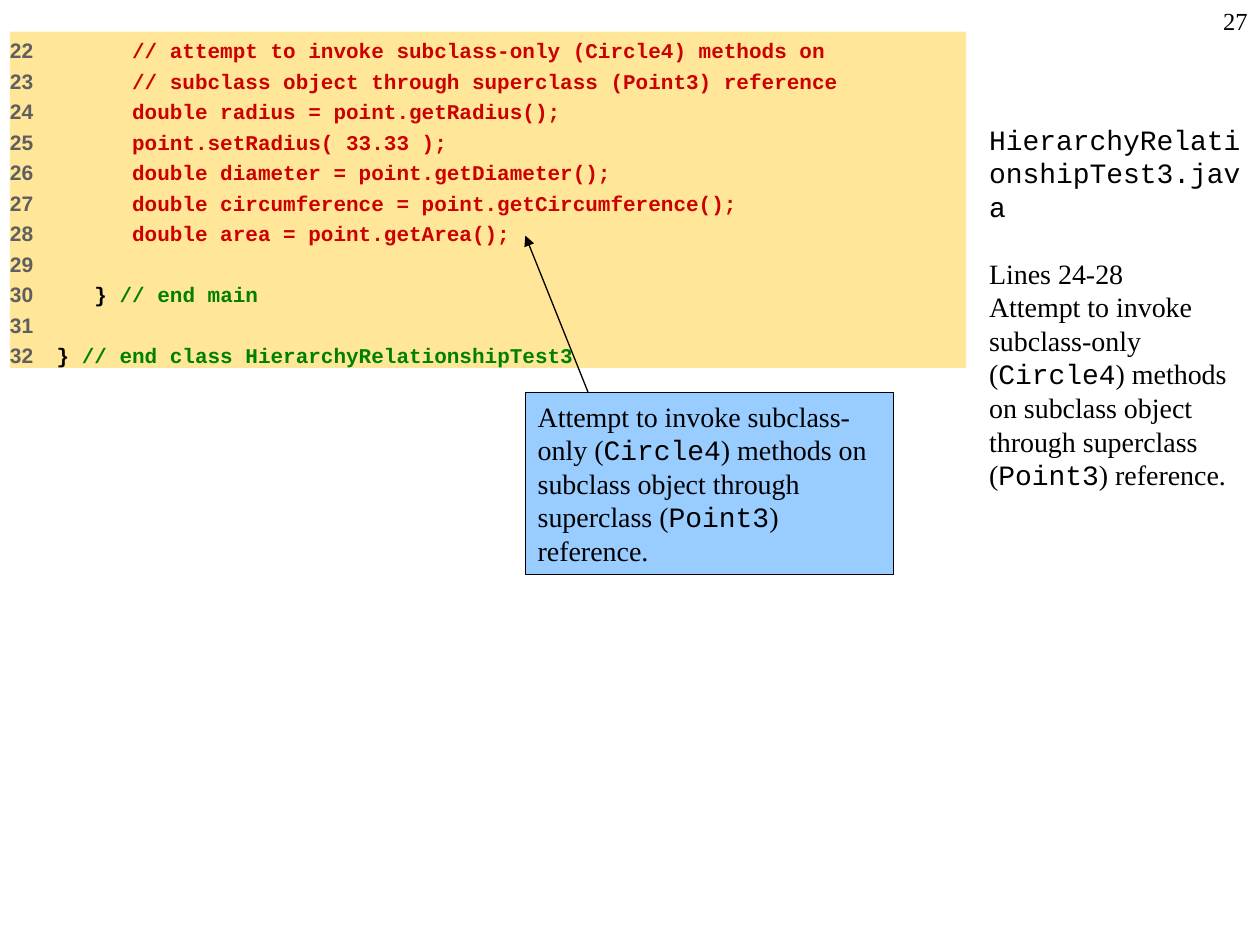
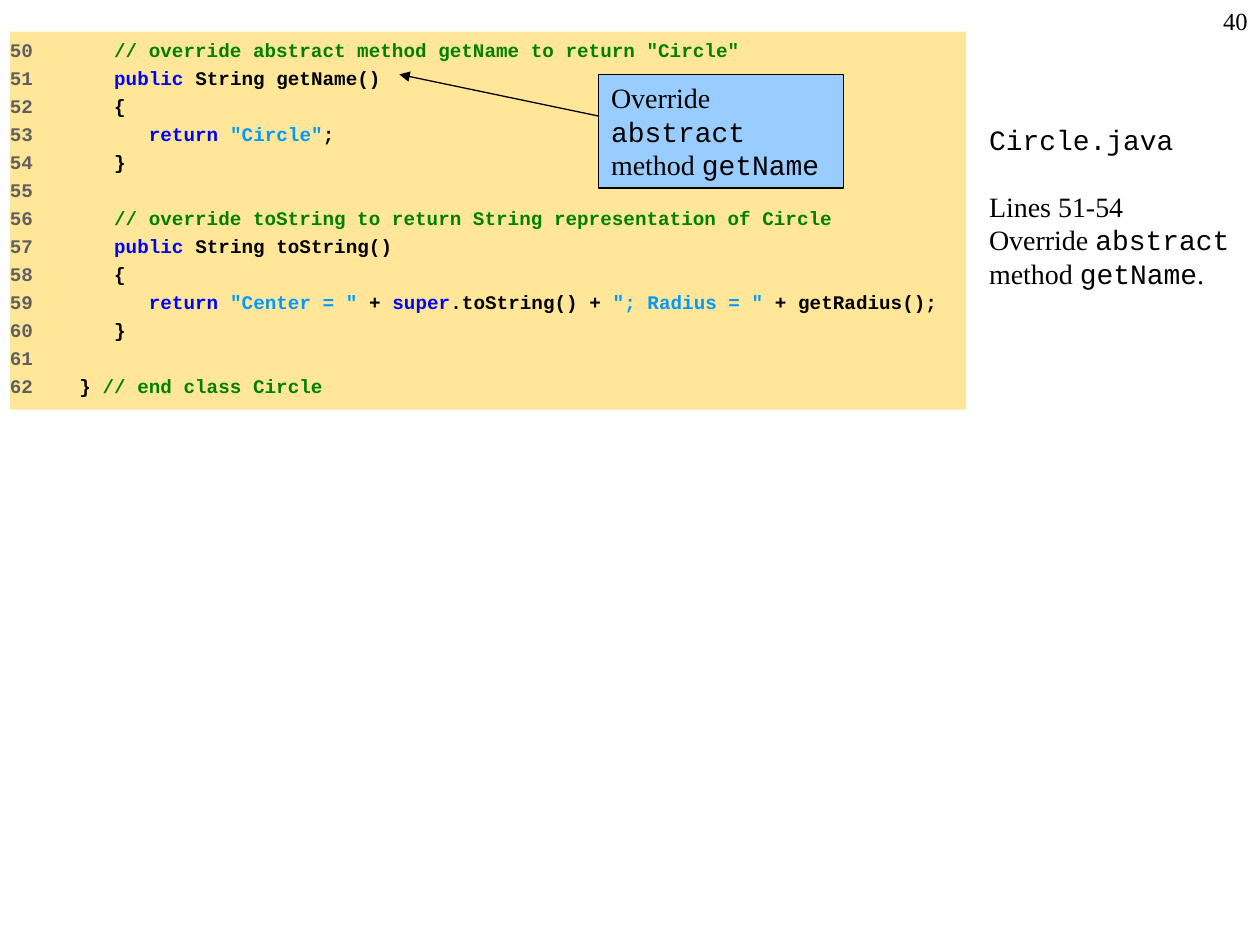
from lxml.etree import SubElement
from pptx import Presentation
from pptx.dml.color import RGBColor
from pptx.enum.shapes import MSO_CONNECTOR, MSO_SHAPE
from pptx.enum.text import MSO_ANCHOR, MSO_AUTO_SIZE, PP_ALIGN
from pptx.oxml.ns import qn
from pptx.util import Cm, Pt

BLACK = RGBColor(0x00, 0x00, 0x00)
GREY = RGBColor(0x5F, 0x5F, 0x5F)
RED = RGBColor(0xCC, 0x00, 0x00)
GREEN = RGBColor(0x00, 0x80, 0x00)
BLUE = RGBColor(0x00, 0x00, 0xFF)
SKY = RGBColor(0x00, 0x99, 0xFF)
CODE_BAND = RGBColor(0xFF, 0xE6, 0x99)
CALLOUT_FILL = RGBColor(0x99, 0xCC, 0xFF)

SERIF, MONO, SANS = "Times New Roman", "Courier New", "Arial"
NOTE_SIZE, PAGE_SIZE = 16, 14

# In notes and callouts, `backticks` mark words set in the code font.
# Code lines are lists of (text, colour); an empty list is an empty line.
LISTINGS = [
    {
        "page": "27",
        "file": "HierarchyRelationshipTest3.java",
        "notes": ["Lines 24-28",
                  "Attempt to invoke subclass-only (`Circle4`) methods on subclass "
                  "object through superclass (`Point3`) reference."],
        "first_line": 22,
        "number_font": SANS,
        "code_size": 12,
        "line_gap": 3,
        "band_height": 6.78,
        "code": [
            [("      // attempt to invoke subclass-only (Circle4) methods on", RED)],
            [("      // subclass object through superclass (Point3) reference", RED)],
            [("      double radius = point.getRadius();", RED)],
            [("      point.setRadius( 33.33 );", RED)],
            [("      double diameter = point.getDiameter();", RED)],
            [("      double circumference = point.getCircumference();", RED)],
            [("      double area = point.getArea();", RED)],
            [],
            [("   } ", BLACK), ("// end main", GREEN)],
            [],
            [("} ", BLACK), ("// end class HierarchyRelationshipTest3", GREEN)],
        ],
        "callout": "Attempt to invoke subclass-only (`Circle4`) methods on subclass "
                   "object through superclass (`Point3`) reference.",
        "callout_box": (10.59, 7.92, 7.42, 3.66),
        "arrow": (11.86, 7.92, 10.59, 4.75),
    },
    {
        "page": "40",
        "file": "Circle.java",
        "notes": ["Lines 51-54", "Override `abstract` method `getName`."],
        "first_line": 50,
        "number_font": MONO,
        "code_size": 11,
        "line_gap": 2.8,
        "band_height": 7.62,
        "code": [
            [('   // override abstract method getName to return "Circle"', GREEN)],
            [("   public", BLUE), (" String getName()", BLACK)],
            [("   {", BLACK)],
            [("      return ", BLUE), ('"Circle"', SKY), (";", BLACK)],
            [("   }", BLACK)],
            [],
            [("   // override toString to return String representation of Circle",
              GREEN)],
            [("   public", BLUE), (" String toString()", BLACK)],
            [("   {", BLACK)],
            [("      return ", BLUE), ('"Center = "', SKY), (" + ", BLACK),
             ("super", BLUE), (".toString() + ", BLACK), ('"; Radius = "', SKY),
             (" + getRadius();", BLACK)],
            [("   }", BLACK)],
            [],
            [("} ", BLACK), ("// end class Circle", GREEN)],
        ],
        "callout": "Override `abstract` method `getName`",
        "callout_box": (12.07, 1.5, 4.93, 2.29),
        "arrow": (12.07, 2.34, 8.05, 1.5),
    },
]


def add_run(paragraph, text, font, size, color=BLACK, bold=False):
    run = paragraph.add_run()
    run.text = text
    run.font.name = font
    run.font.size = Pt(size)
    run.font.color.rgb = color
    run.font.bold = bold


def add_prose(paragraph, prose):
    """Set prose in the serif font, with backticked words in the code font."""
    for index, part in enumerate(prose.split("`")):
        if part:
            add_run(paragraph, part, MONO if index % 2 else SERIF, NOTE_SIZE)


def paragraphs(frame, count):
    return [frame.paragraphs[0]] + [frame.add_paragraph() for _ in range(count - 1)]


def add_panel(slide, box, fill):
    panel = slide.shapes.add_shape(MSO_SHAPE.RECTANGLE, *map(Cm, box))
    panel.shadow.inherit = False
    panel.fill.solid()
    panel.fill.fore_color.rgb = fill
    panel.line.fill.background()
    panel.text_frame.word_wrap = True
    panel.text_frame.vertical_anchor = MSO_ANCHOR.TOP
    return panel


def add_sidebar(slide, file_name, notes):
    frame = slide.shapes.add_textbox(*map(Cm, (19.69, 2.34, 5.71, 15.24))).text_frame
    frame.word_wrap = True
    heading, *note_lines = paragraphs(frame, 1 + len(notes))
    add_run(heading, file_name, MONO, NOTE_SIZE)
    note_lines[0].space_before = Pt(19)
    for line, note in zip(note_lines, notes):
        add_prose(line, note)


def add_code(slide, listing):
    frame = add_panel(slide, (0.2, 0.64, 19.28, listing["band_height"]),
                      CODE_BAND).text_frame
    frame.margin_left = 0
    size = listing["code_size"]
    lines = paragraphs(frame, len(listing["code"]))
    for number, (line, code) in enumerate(zip(lines, listing["code"]),
                                          listing["first_line"]):
        line.alignment = PP_ALIGN.LEFT
        if line is not lines[0]:
            line.space_before = Pt(listing["line_gap"])
        label = f"{number}    " if code else str(number)
        add_run(line, label, listing["number_font"], size, GREY, bold=True)
        for text, color in code:
            add_run(line, text, MONO, size, color, bold=True)


def add_callout(slide, text, box, arrow):
    callout = add_panel(slide, box, CALLOUT_FILL)
    callout.line.color.rgb = BLACK
    callout.line.width = Pt(0.75)
    callout.text_frame.auto_size = MSO_AUTO_SIZE.SHAPE_TO_FIT_TEXT
    paragraph = callout.text_frame.paragraphs[0]
    paragraph.alignment = PP_ALIGN.LEFT
    add_prose(paragraph, text)

    pointer = slide.shapes.add_connector(MSO_CONNECTOR.STRAIGHT, *map(Cm, arrow))
    pointer.line.color.rgb = BLACK
    pointer.line.width = Pt(0.75)
    outline = pointer._element.spPr.find(qn("a:ln"))
    SubElement(outline, qn("a:tailEnd"), type="triangle")
    SubElement(pointer._element.spPr, qn("a:effectLst"))


def add_page_number(slide, page):
    frame = slide.shapes.add_textbox(*map(Cm, (24.13, 0, 1.27, 1.27))).text_frame
    frame.word_wrap = True
    frame.paragraphs[0].alignment = PP_ALIGN.RIGHT
    add_run(frame.paragraphs[0], page, SERIF, PAGE_SIZE)


def main():
    deck = Presentation()
    deck.slide_width, deck.slide_height = Cm(25.4), Cm(19.05)
    for listing in LISTINGS:
        slide = deck.slides.add_slide(deck.slide_layouts[6])
        add_sidebar(slide, listing["file"], listing["notes"])
        add_code(slide, listing)
        add_callout(slide, listing["callout"], listing["callout_box"],
                    listing["arrow"])
        add_page_number(slide, listing["page"])
    deck.save("out.pptx")


if __name__ == "__main__":
    main()
